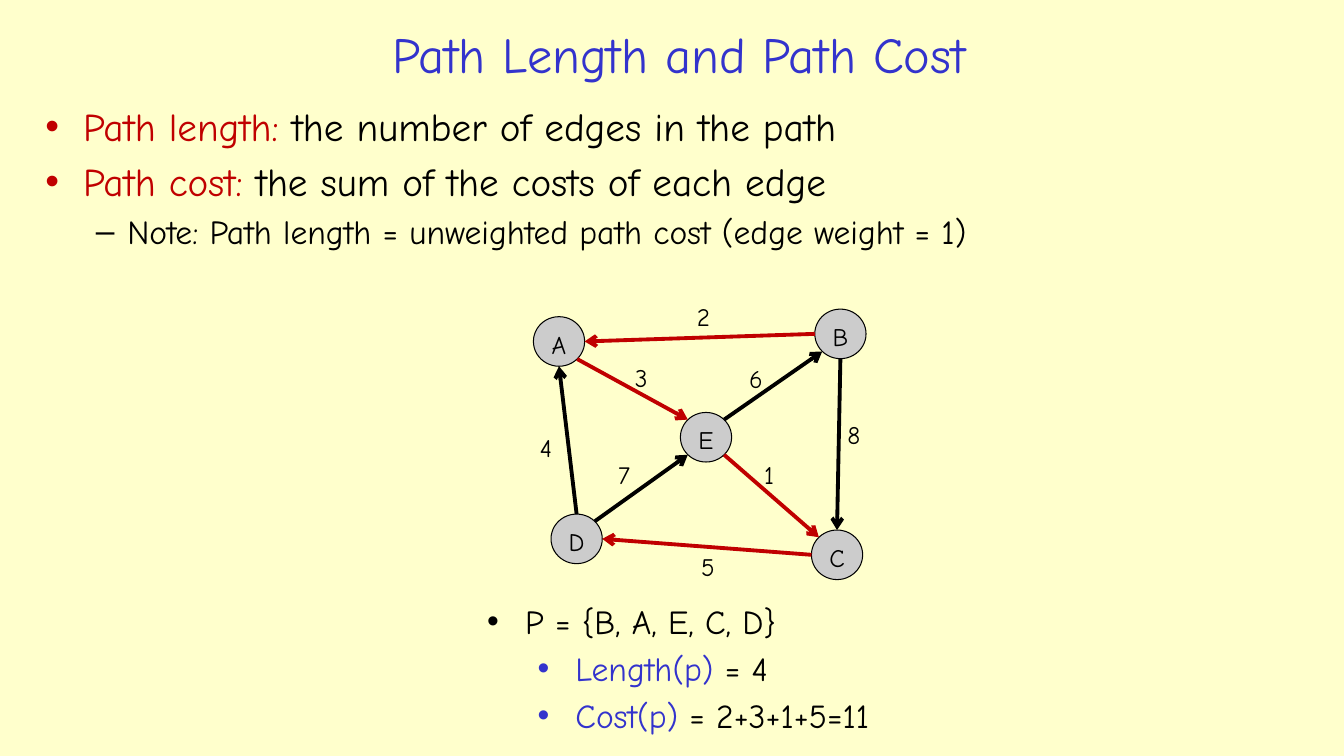
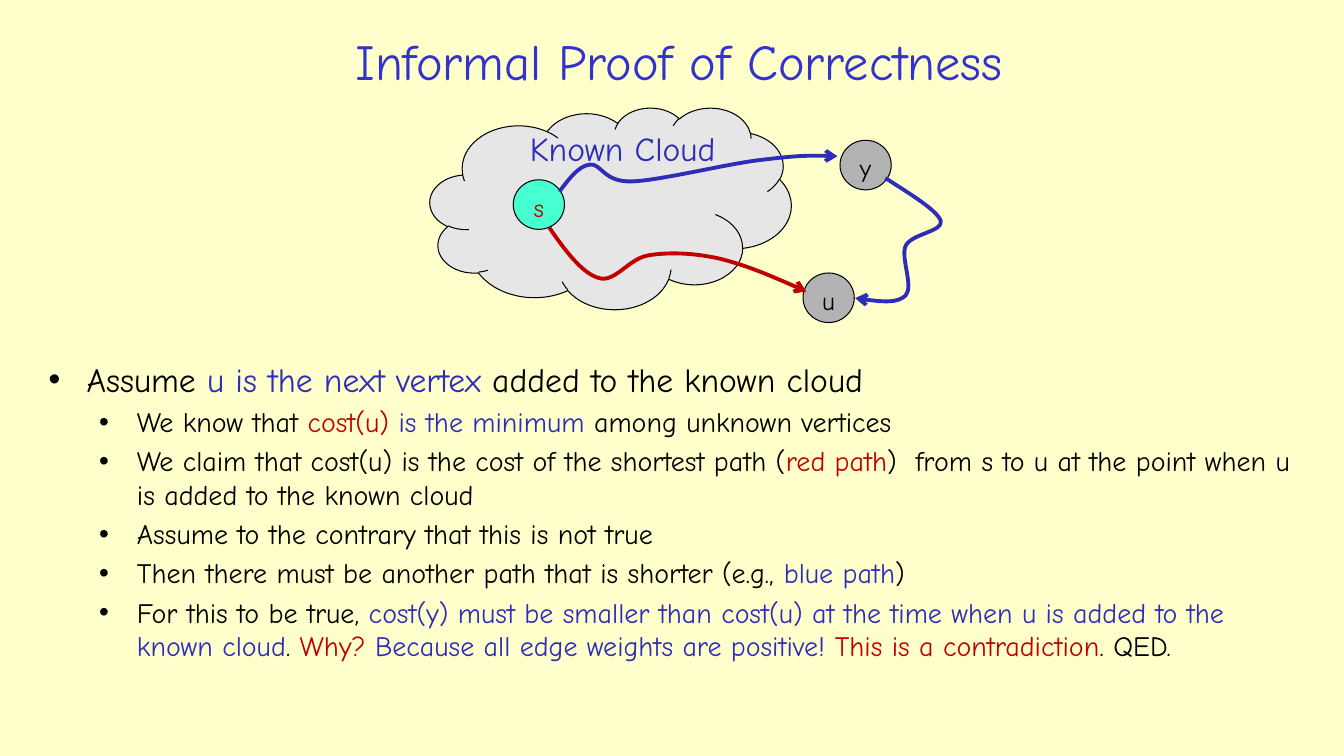
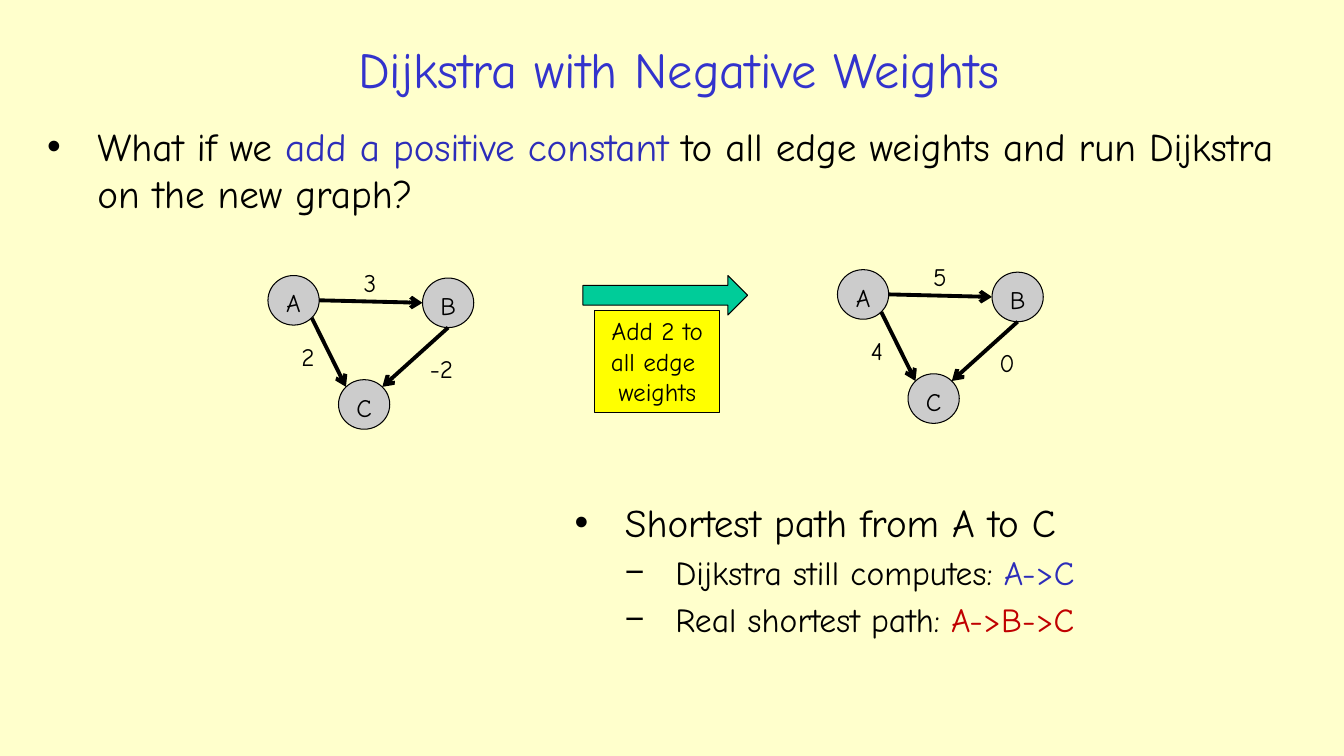
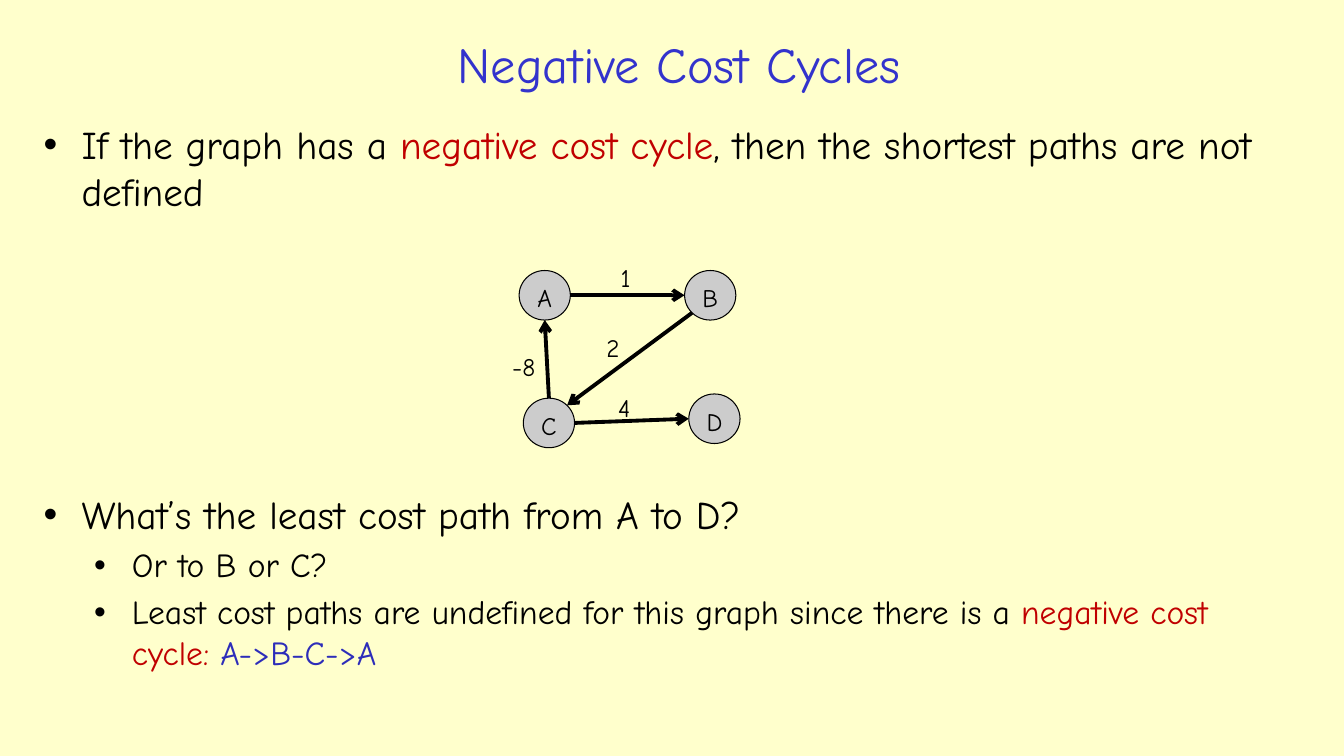
from lxml import etree
from pptx import Presentation
from pptx import util as u
from pptx.dml.color import RGBColor
from pptx.enum import shapes, text
from pptx.oxml import ns

COLUMNS, ROWS = 160, 90
CELL = u.Pt(6)
FONT = "Comic Neue"
COLOURS = {
    "paper": "FFFFCC", "black": "000000", "title": "3333CC", "blue": "2D2DB9",
    "red": "C00000", "node": "CCCCCC", "outside": "B3B3B3", "start": "47FFD1",
    "cloud": "E6E6E6", "arrow": "00CC99", "note": "FFFF00",
}
NODE_WIDTH, NODE_HEIGHT = 6.1, 5.9
DIAGONAL = 0.71
COMPASS = {
    "n": (0, -1), "ne": (DIAGONAL, -DIAGONAL), "e": (1, 0), "se": (DIAGONAL, DIAGONAL),
    "s": (0, 1), "sw": (-DIAGONAL, DIAGONAL), "w": (-1, 0), "nw": (-DIAGONAL, -DIAGONAL),
}


def cells(*counts):
    return [u.Emu(round(count * CELL)) for count in counts]


def colour(name):
    return RGBColor.from_string(COLOURS[name])


def levels(top_size, sub_size, margin=4.5, sub_margin=10.5, sub_hang=4.5, sub_bullet="•"):
    """Size, left margin, hanging indent and bullet of the two list levels."""
    return ((top_size, margin, margin, "•"), (sub_size, sub_margin, sub_hang, sub_bullet))


class SlideWriter:
    def __init__(self):
        self.deck = Presentation()
        self.deck.slide_width, self.deck.slide_height = cells(COLUMNS, ROWS)
        paper = self.deck.slide_master.background.fill
        paper.solid()
        paper.fore_color.rgb = colour("paper")
        self.page = None

    def start(self, title, top, height, lists=2):
        layout = self.deck.slide_layouts[3 if lists == 2 else 1]
        self.page = self.deck.slides.add_slide(layout)
        box = self.page.shapes.title
        self.place(box, (23.6, top, 114.5, height))
        box.text_frame.vertical_anchor = text.MSO_ANCHOR.MIDDLE
        para = box.text_frame.paragraphs[0]
        para.alignment = text.PP_ALIGN.CENTER
        self.span(para, title, 36, "title")

    def place(self, box, area):
        box.left, box.top, box.width, box.height = cells(*area)
        box.text_frame.word_wrap = True
        box.text_frame.auto_size = text.MSO_AUTO_SIZE.NONE

    def span(self, para, words, size=18, ink="black"):
        span = para.add_run()
        span.text = words
        span.font.name = FONT
        span.font.size = u.Pt(size)
        span.font.color.rgb = colour(ink)

    def bullets(self, number, area, style, items):
        """Fill body placeholder `number`; an item is its level, then (words, colour) pairs."""
        box = self.page.placeholders[number]
        self.place(box, area)
        frame = box.text_frame
        frame.vertical_anchor = text.MSO_ANCHOR.TOP
        for index, (level, *spans) in enumerate(items):
            para = frame.add_paragraph() if index else frame.paragraphs[0]
            size, margin, hang, bullet = style[level]
            para.level = level
            layout = para._p.get_or_add_pPr()
            layout.set("marL", str(cells(margin)[0]))
            layout.set("indent", str(cells(-hang)[0]))
            etree.SubElement(layout, ns.qn("a:buChar"), char=bullet)
            para.space_before = u.Pt(0.2 * size if index else 0)
            for words, ink in spans:
                self.span(para, words, size, ink)

    def shape(self, kind, area, fill):
        shape = self.page.shapes.add_shape(kind, *cells(*area))
        shape.shadow.inherit = False
        shape.fill.solid()
        shape.fill.fore_color.rgb = colour(fill)
        shape.line.color.rgb = colour("black")
        shape.line.width = u.Pt(0.75)
        return shape

    def centred(self, shape, lines, ink="black"):
        frame = shape.text_frame
        frame.vertical_anchor = text.MSO_ANCHOR.TOP
        for index, words in enumerate(lines):
            para = frame.add_paragraph() if index else frame.paragraphs[0]
            para.alignment = text.PP_ALIGN.CENTER
            self.span(para, words, ink=ink)

    def node(self, name, left, top, fill="node", ink="black"):
        area = (left, top, NODE_WIDTH, NODE_HEIGHT)
        self.centred(self.shape(shapes.MSO_SHAPE.OVAL, area, fill), [name], ink)

    def label(self, words, left, top, size=18, ink="black", width=4.3, height=4.8):
        box = self.page.shapes.add_textbox(*cells(left, top, width, height))
        box.text_frame.word_wrap = False
        box.text_frame.auto_size = text.MSO_AUTO_SIZE.SHAPE_TO_FIT_TEXT
        self.span(box.text_frame.paragraphs[0], words, size, ink)

    def arrow_line(self, line, properties, ink):
        line.color.rgb = colour(ink)
        line.width = u.Pt(2.75)
        etree.SubElement(properties.find(ns.qn("a:ln")), ns.qn("a:tailEnd"), type="arrow")

    def edge(self, start, end, ink):
        edge = self.page.shapes.add_connector(
            shapes.MSO_CONNECTOR.STRAIGHT, *cells(*start, *end))
        properties = edge._element.spPr
        self.arrow_line(edge.line, properties, ink)
        etree.SubElement(properties, ns.qn("a:effectLst"))

    def graph(self, nodes, edges, labels, shift=(0, 0)):
        """Draw nodes, edges between compass points of nodes, and edge weights."""
        right, down = shift
        for name, (left, top) in nodes.items():
            self.node(name, left + right, top + down)

        def rim(name, side):
            left, top = nodes[name]
            across, below = COMPASS[side]
            return (left + right + NODE_WIDTH * (1 + across) / 2,
                    top + down + NODE_HEIGHT * (1 + below) / 2)

        for source, leaving, target, entering, ink in edges:
            self.edge(rim(source, leaving), rim(target, entering), ink)
        for words, left, top in labels:
            self.label(words, left + right, top + down, width=3.1 + 1.2 * len(words))

    def curve(self, ink, start, *controls):
        """Draw an arrow of cubic curves, three control points each."""
        points = [cells(*point) for point in controls]
        builder = self.page.shapes.build_freeform(*cells(*start))
        builder.add_line_segments(points, close=False)
        shape = builder.convert_to_shape()
        shape.shadow.inherit = False
        shape.fill.background()
        properties = shape._element.spPr
        self.arrow_line(shape.line, properties, ink)
        outline = next(properties.iter(ns.qn("a:path")))
        steps = outline.findall(ns.qn("a:lnTo"))
        for first in range(0, len(steps), 3):
            bend = etree.SubElement(outline, ns.qn("a:cubicBezTo"))
            for step in steps[first:first + 3]:
                bend.append(step[0])
                outline.remove(step)


def path_cost(writer):
    writer.start("Path Length and Path Cost", 1.8, 9.1)
    writer.bullets(1, (4.2, 11.6, 151, 25), levels(28, 24, 4.5, 9.75, 3.75, "–"), [
        (0, ("Path length: ", "red"), ("the number of edges in the path", "black")),
        (0, ("Path cost: ", "red"), ("the sum of the costs of each edge", "black")),
        (1, ("Note: Path length = unweighted path cost (edge weight = 1)", "black")),
    ])
    writer.graph(
        {"A": (63.5, 37.7), "B": (97, 36.8), "D": (65.6, 61.2),
         "E": (81, 49.1), "C": (96.6, 63.1)},
        [("B", "w", "A", "e", "red"), ("E", "se", "C", "nw", "red"),
         ("C", "w", "D", "e", "red"), ("A", "se", "E", "nw", "red"),
         ("D", "n", "A", "s", "black"), ("D", "ne", "E", "sw", "black"),
         ("B", "s", "C", "n", "black"), ("E", "ne", "B", "sw", "black")],
        [("2", 81.8, 35.3), ("3", 74.4, 42.6), ("6", 88, 42.7), ("8", 99.7, 49.3),
         ("1", 89.8, 54.1), ("5", 82.3, 65), ("7", 72.4, 54.1), ("4", 63.1, 50.9)],
    )
    writer.bullets(2, (56.8, 70.9, 56.6, 16.7), levels(24, 24), [
        (0, ("P = {B, A, E, C, D}", "black")),
        (1, ("Length(p) ", "title"), ("= 4", "black")),
        (1, ("Cost(p)", "title"), (" = 2+3+1+5=11", "black")),
    ])


def correctness(writer):
    writer.start("Informal Proof of Correctness", 1.8, 10.8, lists=1)
    writer.bullets(1, (4.6, 42.1, 151.6, 43.6), levels(24, 20), [
        (0, ("Assume ", "black"), ("u is the next vertex ", "blue"),
         ("added to the known cloud", "black")),
        (1, ("We know that ", "black"), ("cost(u)", "red"), (" is the minimum ", "blue"),
         ("among unknown vertices", "black")),
        (1, ("We claim that cost(u) is the cost of the shortest path (", "black"),
         ("red path", "red"),
         (")  from s to u at the point when u is added to the known cloud", "black")),
        (1, ("Assume to the contrary that this is not true", "black")),
        (1, ("Then there must be another path that is shorter (e.g., ", "black"),
         ("blue path", "blue"), (")", "black")),
        (1, ("For this to be true, ", "black"),
         ("cost(y) must be smaller than cost(u) at the time when u is added to the "
          "known cloud", "blue"),
         (". ", "black"), ("Why? ", "red"),
         ("Because all edge weights are positive! ", "blue"),
         ("This is a contradiction", "red"), (". QED.", "black")),
    ])
    writer.shape(shapes.MSO_SHAPE.CLOUD, (51.2, 12.8, 43, 24), "cloud")
    writer.node("s", 61.1, 21.4, "start", "red")
    writer.node("u", 95.6, 32.5, "outside")
    writer.label("Known Cloud", 61.9, 14.6, 24, "blue", width=25.3, height=6.1)
    writer.node("y", 100, 16.7, "outside")
    writer.curve("blue", (66.6, 22.8),
                 (67.7, 21.4), (68.8, 19.8), (70.2, 19.6),
                 (71.6, 19.4), (71.8, 21.7), (75.2, 21.6),
                 (78.7, 21.5), (86.9, 19.4), (91, 19),
                 (95, 18.5), (97.4, 18.5), (99.7, 18.6))
    writer.curve("blue", (105.4, 21.2),
                 (108.5, 23.2), (111.5, 25), (112, 26.3),
                 (112.3, 27.6), (108.5, 27.8), (107.8, 29.3),
                 (107.2, 30.7), (108.8, 34.1), (107.8, 35.2),
                 (106.8, 36.1), (104.3, 35.9), (101.8, 35.5))
    writer.curve("red", (65.4, 27.1),
                 (67.3, 29.9), (69.4, 32.6), (71.3, 33.1),
                 (73.2, 33.7), (74.8, 30.8), (77.2, 30.4),
                 (79.6, 30), (82.6, 30.1), (85.7, 30.8),
                 (88.9, 31.6), (92.4, 33.1), (96, 34.7))


def negative_weights(writer):
    writer.start("Dijkstra with Negative Weights", 3.6, 9.1)
    style = levels(28, 24, 6, 12, 6, "−")
    writer.bullets(1, (4.4, 14, 149.9, 14.9), style, [
        (0, ("What if we ", "black"), ("add a positive constant ", "blue"),
         ("to all edge weights and run Dijkstra on the new graph?", "black")),
    ])
    for shift, weights in (((0, 0), ("2", "3", "-2")), ((67.8, -0.7), ("4", "5", "0"))):
        to_c, to_b, from_b = weights
        writer.graph(
            {"A": (31.9, 32.8), "B": (50.3, 33.1), "C": (40.3, 45.2)},
            [("A", "e", "B", "w", "black"), ("A", "se", "C", "nw", "black"),
             ("B", "s", "C", "ne", "black")],
            [(to_c, 34.7, 40), (to_b, 42.1, 31.2), (from_b, 50, 41.5)],
            shift,
        )
    writer.bullets(2, (67.2, 58.7, 68.8, 19.1), style, [
        (0, ("Shortest path from A to C", "black")),
        (1, ("Dijkstra still computes: ", "black"), ("A->C", "blue")),
        (1, ("Real shortest path: ", "black"), ("A->B->C", "red")),
    ])
    writer.shape(shapes.MSO_SHAPE.RIGHT_ARROW, (69.4, 32.8, 19.6, 4.7), "arrow")
    note = writer.shape(shapes.MSO_SHAPE.RECTANGLE, (70.8, 37, 14.9, 12.1), "note")
    note.text_frame.word_wrap = False
    writer.centred(note, ["Add 2 to", "all edge ", "weights"])


def negative_cycles(writer):
    writer.start("Negative Cost Cycles", 1.8, 11.5)
    style = levels(28, 24)
    writer.bullets(1, (4, 13.7, 149.4, 15.8), style, [
        (0, ("If the graph has a ", "black"), ("negative cost cycle", "red"),
         (", then the shortest paths are not defined", "black")),
    ])
    writer.graph(
        {"A": (61.8, 32.2), "B": (81.5, 32.2), "C": (62.3, 47.4), "D": (82, 46.9)},
        [("A", "e", "B", "w", "black"), ("C", "e", "D", "w", "black"),
         ("B", "sw", "C", "ne", "black"), ("C", "n", "A", "s", "black")],
        [("2", 71, 39), ("1", 72.7, 30.7), ("-8", 59.8, 41.2), ("4", 72.4, 46.1)],
    )
    writer.bullets(2, (4, 57.8, 149.4, 27.2), style, [
        (0, ("What’s the least cost path from A to D?", "black")),
        (1, ("Or to B or C?", "black")),
        (1, ("Least cost paths are undefined for this graph since there is a ", "black"),
         ("negative cost cycle: ", "red"), ("A->B-C->A", "blue")),
    ])


def main():
    writer = SlideWriter()
    for build in (path_cost, correctness, negative_weights, negative_cycles):
        build(writer)
    writer.deck.save("out.pptx")


if __name__ == "__main__":
    main()
